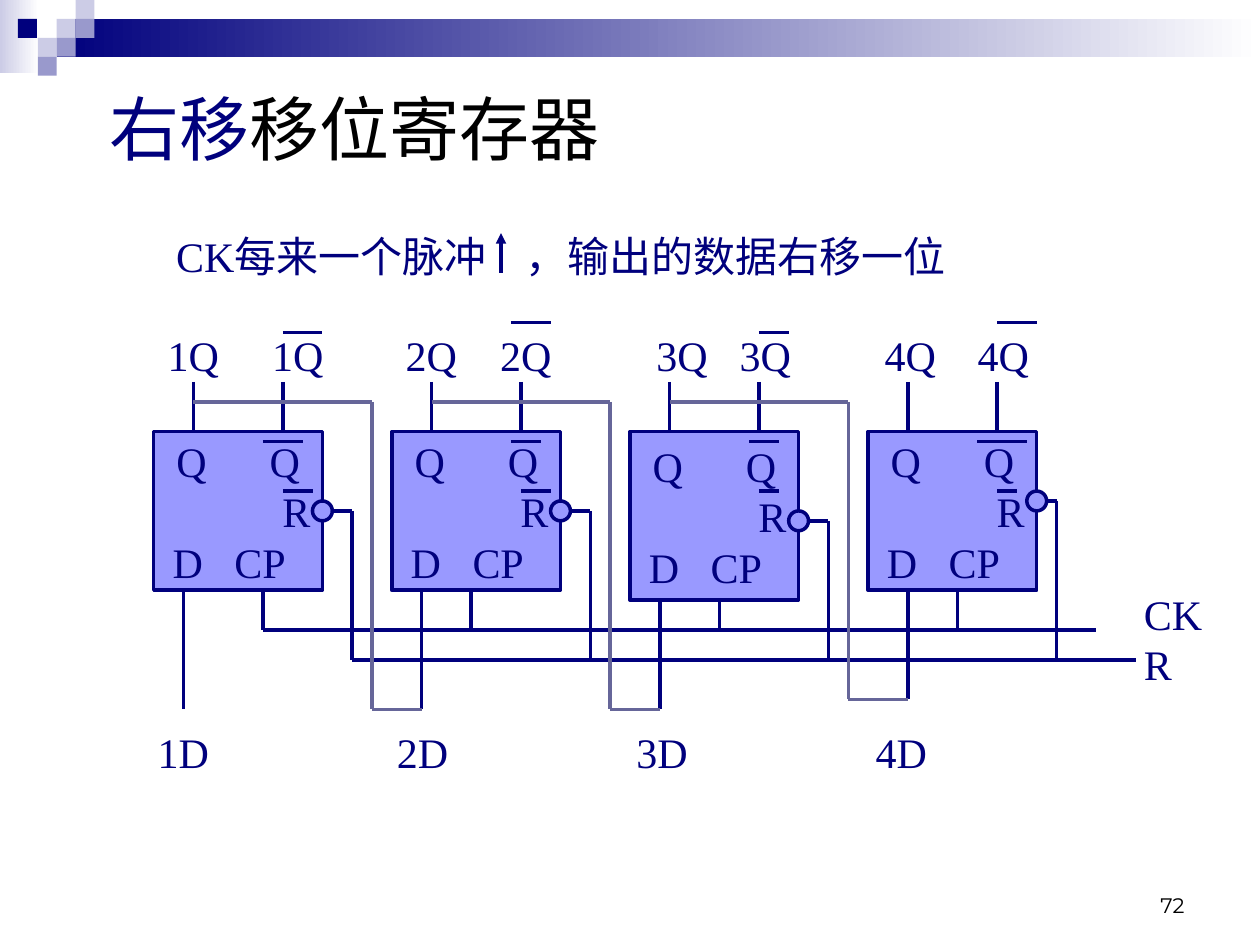
from dataclasses import dataclass

from lxml import etree
from pptx import Presentation
from pptx.dml.color import RGBColor
from pptx.enum.shapes import MSO_CONNECTOR, MSO_SHAPE
from pptx.enum.text import MSO_ANCHOR, PP_ALIGN
from pptx.oxml.ns import qn
from pptx.util import Inches, Pt

RECT, OVAL = MSO_SHAPE.RECTANGLE, MSO_SHAPE.OVAL
LINE = MSO_CONNECTOR.STRAIGHT
LEFT, RIGHT = PP_ALIGN.LEFT, PP_ALIGN.RIGHT
TOP, MID, LOW = MSO_ANCHOR.TOP, MSO_ANCHOR.MIDDLE, MSO_ANCHOR.BOTTOM
HUES = {"navy": "00007D", "gate": "9999FF", "wire": "666699", "pale": "CCCCE6",
        "mid": "9999CC", "white": "FFFFFF", "black": "000000"}
SERIF = "Times New Roman"

# Circuit grid: 127 columns across the slide, origin at the first gate
UNIT = 10 / 127
LEFT_X, TOP_Y = 15.5 * UNIT, 43.5 * UNIT
PITCH = 24
CK_ROW, R_ROW = 20, 23


@dataclass
class Gate:
    """One flip-flop; lengths in grid columns and rows from its corner."""
    high: int
    data: int  # column of the D wire
    foot: int  # end row of the D wire
    clock: int  # column of the CP wire
    ring: int  # row of the reset ring
    drop: int  # column of the reset wire
    q_bar: tuple[int, int]
    r_bar: tuple[int, int]
    top_bar: tuple[int, int, int]


GATES = [
    Gate(16, 3, 28, 11, 7, 20, (11, 15), (13, 16), (13, 17, -10)),
    Gate(16, 3, 28, 8, 7, 20, (12, 15), (13, 16), (12, 16, -11)),
    Gate(17, 3, 28, 9, 8, 20, (12, 15), (13, 15), (13, 16, -10)),
    Gate(16, 4, 27, 9, 6, 19, (11, 16), (13, 15), (13, 17, -11)),
]

prs = Presentation()
prs.slide_width, prs.slide_height = Inches(10), Inches(7.5)
slide = prs.slides.add_slide(prs.slide_layouts[5])
shapes = slide.shapes


def hue(name: str) -> RGBColor:
    return RGBColor.from_string(HUES[name])


def style(run, size: float, font: str = SERIF, tint: str = "navy") -> None:
    run.font.size, run.font.name = Pt(size), font
    run.font.color.rgb = hue(tint)


def tabs(para, stops: list[float]) -> None:
    props = para._p.get_or_add_pPr()
    group = etree.SubElement(props, qn("a:tabLst"))
    for stop in stops:
        etree.SubElement(group, qn("a:tab"), pos=str(Inches(stop)), algn="l")


def write(frame, rows: list[tuple[str, list[float]]], size: float = 24,
          font: str = SERIF, tint: str = "navy", align=LEFT, anchor=TOP) -> None:
    frame.word_wrap, frame.vertical_anchor = True, anchor
    frame.text = "\n".join(text for text, _ in rows)
    for para, (_, stops) in zip(frame.paragraphs, rows):
        para.alignment = align
        if stops:
            tabs(para, stops)
        for run in para.runs:
            style(run, size, font, tint)


def label(x: float, y: float, w: float, h: float, rows, **look):
    frame = shapes.add_textbox(Inches(x), Inches(y), Inches(w), Inches(h)).text_frame
    write(frame, rows, **look)
    return frame


def block(kind, x: float, y: float, w: float, h: float, tint: str,
          edge: bool = False, fade: bool = False):
    item = shapes.add_shape(kind, Inches(x), Inches(y), Inches(w), Inches(h))
    item.shadow.inherit = False
    if fade:
        item.fill.gradient()
        item.fill.gradient_angle = 0
        for stop, name in zip(item.fill.gradient_stops, (tint, "white")):
            stop.color.rgb = hue(name)
    else:
        item.fill.solid()
        item.fill.fore_color.rgb = hue(tint)
    if edge:
        item.line.color.rgb, item.line.width = hue("navy"), Pt(2)
    else:
        item.line.fill.background()
    return item


def cell(kind, col: float, row: float, w: float, h: float):
    return block(kind, LEFT_X + col * UNIT, TOP_Y + row * UNIT,
                 w * UNIT, h * UNIT, "gate", edge=True)


def wire(*spots: tuple[float, float], tint: str = "navy"):
    """Join grid spots with straight lines; give back the last one."""
    for (x1, y1), (x2, y2) in zip(spots, spots[1:]):
        item = shapes.add_connector(
            LINE, Inches(LEFT_X + x1 * UNIT), Inches(TOP_Y + y1 * UNIT),
            Inches(LEFT_X + x2 * UNIT), Inches(TOP_Y + y2 * UNIT))
        item.line.color.rgb, item.line.width = hue(tint), Pt(2)
        etree.SubElement(item._element.spPr, qn("a:effectLst"))
    return item


# Header bands and tiles
block(RECT, 0, 0, 0.31, 0.58, "pale", fade=True)
block(RECT, 0.45, 0.15, 9.55, 0.3, "navy", fade=True)
TILE = 0.15
for col, row, tint in [(3, 1, "pale"), (4, 0, "pale"), (4, 1, "mid"), (2, 2, "pale"),
                       (0.95, 1, "navy"), (3, 2, "mid"), (2, 3, "mid")]:
    block(RECT, col * TILE, row * TILE, TILE, TILE, tint)

# Title, caption and page number
title = shapes.title
title.left, title.top = Inches(0.77), Inches(0.6)
title.width, title.height = Inches(4.63), Inches(0.82)
write(title.text_frame, [("右移", [])], size=40, anchor=MID)
tail = title.text_frame.paragraphs[0].add_run()
tail.text = "移位寄存器"
style(tail, 40, "Arial", "black")
label(1.3, 1.78, 7.72, 0.5, [("CK每来一个脉冲\t，输出的数据右移一位", [2.77])])
label(7.17, 6.83, 2.33, 0.5, [("72", [])], size=12, font="Montserrat",
      tint="black", align=RIGHT, anchor=LOW)

# Gates with their wires
for i, gate in enumerate(GATES):
    x = i * PITCH
    box = cell(RECT, x, 0, 17, gate.high).text_frame
    box.margin_left = box.margin_right = 0
    write(box, [("\tQ\tQ", [0.18, 0.92]), ("\tR", [1.02]),
                ("\tD\tCP", [0.15, 0.64])], anchor=MID)
    for col in (4, 13):
        wire((x + col, -5), (x + col, 0))
    for a, b, row in [(*gate.q_bar, 1), (*gate.r_bar, 6), gate.top_bar]:
        wire((x + a, row), (x + b, row))
    wire((x + gate.clock, gate.high), (x + gate.clock, CK_ROW))
    wire((x + gate.data, gate.high), (x + gate.data, gate.foot))
    mid = gate.ring + 1
    wire((x + 18, mid), (x + gate.drop, mid), (x + gate.drop, R_ROW))
    cell(OVAL, x + 16, gate.ring, 2, 2)

# Shared clock and reset lines
wire((GATES[0].clock, CK_ROW), (95, CK_ROW))
wire((GATES[0].drop, R_ROW), (99, R_ROW))

# Each Q feeds the next D
for i, goal in enumerate(GATES[1:]):
    x = i * PITCH
    wire((x + 4, -3), (x + 22, -3), (x + 22, goal.foot),
         (x + PITCH + goal.data, goal.foot), tint="wire")

# Signal names
outs = label(1.06, 2.57, 7.72, 0.5, [("1Q\t1Q\t2Q\t2Q\t3Q\t3Q\t4Q\t4Q",
             [0.83, 1.89, 2.64, 3.88, 4.54, 5.69, 6.43])])
ins = label(0.98, 5.72, 7.32, 0.5,
            [("1D\t2D\t3D\t4D", [1.9 * n for n in (1, 2, 3)])])
for frame in (outs, ins):
    frame.margin_left = Inches(0.27)
label(8.98, 4.62, 0.9, 0.9, [("CK", []), ("R", [])])

# Rising edge arrow
edge = wire((35, -16), (35, -20))
etree.SubElement(edge.line._get_or_add_ln(), qn("a:tailEnd"), type="triangle")

prs.save("out.pptx")
